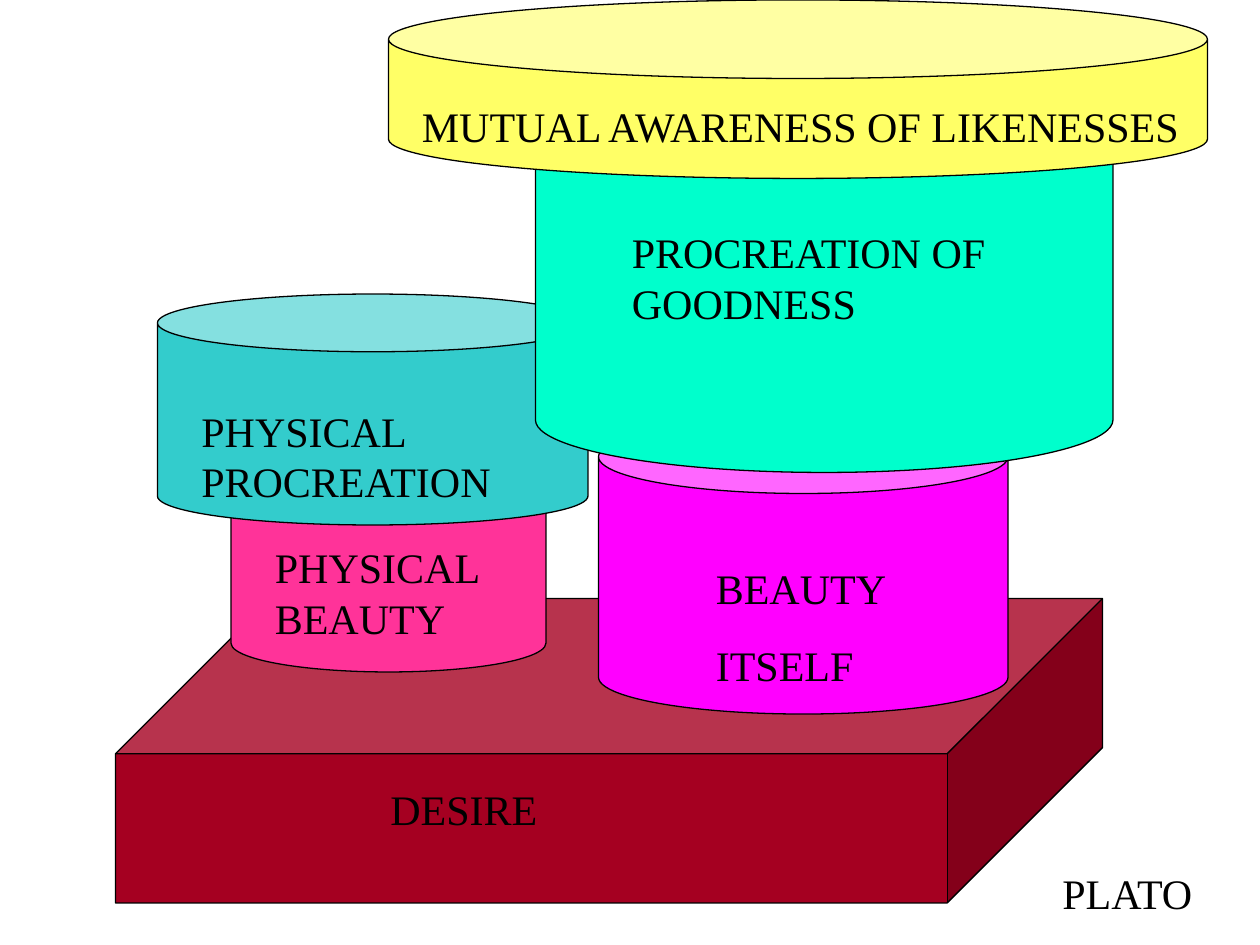
"""Build a slide of stacked cylinders on a block, showing Plato's account of desire."""
from pptx import Presentation
from pptx import util as u
from pptx.dml.color import RGBColor
from pptx.enum import shapes, text

PX = 9525
CUBE, CAN = shapes.MSO_SHAPE.CUBE, shapes.MSO_SHAPE.CAN


def color(value):
    return RGBColor.from_string(value)


def scale(*lengths):
    return [u.Emu(length * PX) for length in lengths]


deck = Presentation()
deck.slide_width, deck.slide_height = scale(960, 720)
page = deck.slides.add_slide(deck.slide_layouts[6])

layers = [
    ((CUBE, 88, 456, 752, 232, 0.51, "A50021"), (288, 592, 272, 48, "DESIRE")),
    ((CAN, 176, 336, 240, 176, 0.25, "FF3399"), (200, 408, 200, 86, "PHYSICAL BEAUTY")),
    ((CAN, 456, 320, 312, 224, 0.25, "FF00FF"), (536, 424, 152, 107, "BEAUTY\nITSELF")),
    ((CAN, 120, 224, 328, 176, 0.25, "33CCCC"), (144, 304, 344, 86, "PHYSICAL PROCREATION")),
    ((CAN, 408, 40, 440, 320, 0.25, "00FFCC"), (472, 168, 328, 86, "PROCREATION OF GOODNESS")),
    (None, (800, 656, 160, 48, "PLATO")),
    ((CAN, 296, 0, 624, 136, 0.44, "FFFF66"), (312, 72, 648, 48, "MUTUAL AWARENESS OF LIKENESSES")),
]

for solid, label in layers:
    if solid:
        kind, left, top, width, height, depth, fill = solid
        shape = page.shapes.add_shape(kind, *scale(left, top, width, height))
        shape.adjustments[0] = depth
        shape.shadow.inherit = False
        shape.fill.solid()
        shape.fill.fore_color.rgb = color(fill)
        shape.line.color.rgb = color("000000")
        shape.line.width = u.Pt(0.75)

    left, top, width, height, wording = label
    box = page.shapes.add_textbox(*scale(left, top, width, height))
    frame = box.text_frame
    frame.word_wrap = True
    frame.auto_size = text.MSO_AUTO_SIZE.SHAPE_TO_FIT_TEXT
    frame.text = wording
    for index, para in enumerate(frame.paragraphs):
        para.space_before = u.Pt(15 if index else 0)
        for span in para.runs:
            span.font.name = "Times New Roman"
            span.font.size = u.Pt(24)
            span.font.color.rgb = color("000000")

deck.save("out.pptx")
